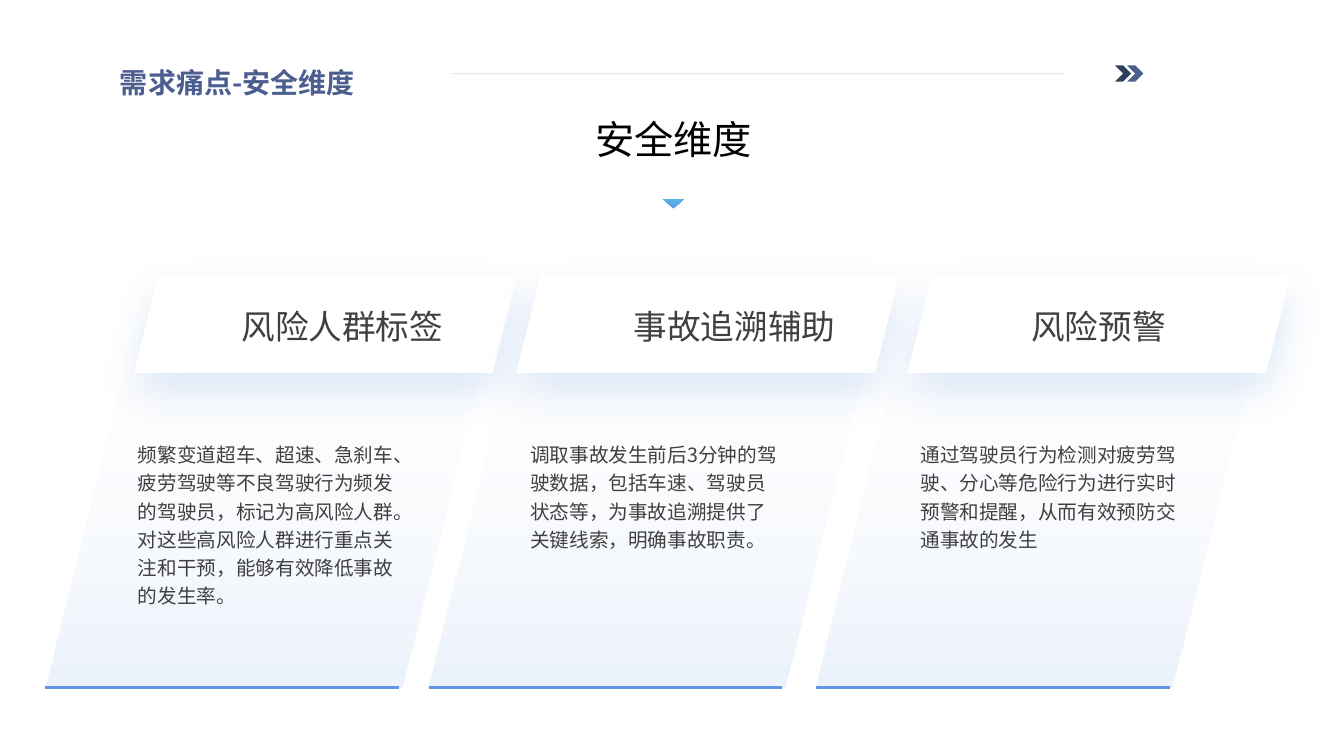
from lxml import etree
from pptx import Presentation
from pptx.dml.color import RGBColor
from pptx.enum.shapes import MSO_CONNECTOR, MSO_SHAPE
from pptx.enum.text import MSO_ANCHOR, MSO_AUTO_SIZE, PP_ALIGN
from pptx.oxml import parse_xml
from pptx.oxml.ns import nsdecls, qn
from pptx.util import Inches, Pt

CHEVRON, TRIANGLE = MSO_SHAPE.CHEVRON, MSO_SHAPE.ISOSCELES_TRIANGLE
SLANTED, STRAIGHT = MSO_SHAPE.PARALLELOGRAM, MSO_CONNECTOR.STRAIGHT
LEFT, CENTER, TOP = PP_ALIGN.LEFT, PP_ALIGN.CENTER, MSO_ANCHOR.TOP

NAVY = RGBColor(0x31, 0x3D, 0x5D)
INDIGO = RGBColor(0x4B, 0x5E, 0x8F)
BLUE = RGBColor(0x60, 0x96, 0xE6)
SKY = RGBColor(0x58, 0xB6, 0xE5)
ICE = RGBColor(0xDF, 0xEA, 0xFA)
SHADOW = RGBColor(0x21, 0x69, 0xD3)
PALE = RGBColor(0xDF, 0xE4, 0xEA)
WHITE = RGBColor(0xFF, 0xFF, 0xFF)
BLACK = RGBColor(0, 0, 0)
GREY = RGBColor(0x40, 0x40, 0x40)
CJK_FONT = "Noto Sans CJK SC"

# Shared rows of the three columns, in inches
CARD_TOP, CARD_W, CARD_H = 2.8, 4.53, 4.02
HEADER_TOP, HEADER_W, HEADER_H = 2.73, 3.8, 0.97
HEADING_TOP, HEADING_H = 2.99, 0.5
DETAIL_TOP = 4.3
RULE_W = 3.51

# card left, header left, heading (left, width), detail (left, width, height)
COLUMNS = [
    (0.45, 1.33, (2.27, 2.25), (1.27, 2.9, 1.8), "风险人群标签",
     "频繁变道超车、超速、急刹车、疲劳驾驶等不良驾驶行为频发的驾驶员，标记为高风险人群。"
     "对这些高风险人群进行重点关注和干预，能够有效降低事故的发生率。"),
    (4.25, 5.12, (6.05, 2.47), (5.16, 2.7, 1.23), "事故追溯辅助",
     "调取事故发生前后3分钟的驾驶数据，包括车速、驾驶员状态等，"
     "为事故追溯提供了关键线索，明确事故职责。"),
    (8.09, 9.0, (9.93, 1.93), (9.03, 2.88, 1.23), "风险预警",
     "通过驾驶员行为检测对疲劳驾驶、分心等危险行为进行实时预警和提醒，"
     "从而有效预防交通事故的发生"),
]

prs = Presentation()
prs.slide_width, prs.slide_height = Inches(13.33), Inches(7.5)
slide = prs.slides.add_slide(prs.slide_layouts[5])
shapes = slide.shapes


def add_block(kind, left, top, width, height, colors, alphas=(100, 100)):
    """Borderless shape: one colour is solid, two are a downward gradient."""
    block = shapes.add_shape(kind, Inches(left), Inches(top), Inches(width), Inches(height))
    block.shadow.inherit = False
    block.line.fill.background()
    if len(colors) == 1:
        block.fill.solid()
        block.fill.fore_color.rgb = colors[0]
        return block
    block.fill.gradient()
    block.fill.gradient_angle = 270
    for stop, place, color, alpha in zip(block.fill.gradient_stops, (0, 1), colors, alphas):
        stop.position = place
        stop.color.rgb = color
    for node, alpha in zip(block._element.spPr.iter(qn("a:srgbClr")), alphas):
        etree.SubElement(node, qn("a:alpha")).set("val", str(alpha * 1000))
    return block


def write(holder, text, size, color, align, bold=False, font=CJK_FONT, wrap=True, spacing=1.0):
    frame = holder.text_frame
    frame.text = text
    frame.word_wrap = wrap
    frame.auto_size = MSO_AUTO_SIZE.NONE
    frame.vertical_anchor = TOP
    paragraph = frame.paragraphs[0]
    paragraph.alignment, paragraph.line_spacing = align, spacing
    run = paragraph.runs[0]
    run.font.size, run.font.bold, run.font.name = Pt(size), bold, font
    run.font.color.rgb = color
    east_asian = etree.SubElement(run._r.get_or_add_rPr(), qn("a:ea"))
    east_asian.set("typeface", CJK_FONT)


# Page title with line and double chevron
title = shapes.title
title.left, title.top, title.width, title.height = map(Inches, (1.09, 0.6, 6.67, 0.44))
write(title, "需求痛点-安全维度", 20, INDIGO, LEFT, bold=True)
for left, color in ((11.06, NAVY), (11.18, INDIGO)):
    add_block(CHEVRON, left, 0.65, 0.16, 0.16, [color])

# Centred subject with pointer
subject = shapes.add_textbox(Inches(5.8), Inches(1.09), Inches(1.76), Inches(0.57))
write(subject, "安全维度", 28, BLACK, CENTER, font="Arial", wrap=False)
pointer = add_block(TRIANGLE, 6.57, 1.97, 0.22, 0.1, [BLUE, SKY])
pointer._element.spPr.find(qn("a:xfrm")).set("flipV", "1")

# Three columns: fading card, raised header, heading and detail
for card_left, header_left, heading_place, detail_place, heading_text, detail_text in COLUMNS:
    card = add_block(SLANTED, card_left, CARD_TOP, CARD_W, CARD_H, [WHITE, ICE], (0, 58))
    card.adjustments[0] = 0.248

    header = add_block(SLANTED, header_left, HEADER_TOP, HEADER_W, HEADER_H, [WHITE])
    header._element.spPr.find(qn("a:effectLst")).append(parse_xml(
        f'<a:outerShdw {nsdecls("a")} blurRad="{Pt(30)}" dist="{Pt(13)}" dir="5400000" '
        f'algn="t" rotWithShape="0"><a:srgbClr val="{SHADOW}"><a:alpha val="15000"/>'
        '</a:srgbClr></a:outerShdw>'))

    left, width = heading_place
    heading = shapes.add_textbox(
        Inches(left), Inches(HEADING_TOP), Inches(width), Inches(HEADING_H))
    write(heading, heading_text, 24, GREY, CENTER)

    left, width, height = detail_place
    detail = shapes.add_textbox(
        Inches(left), Inches(DETAIL_TOP), Inches(width), Inches(height))
    write(detail, detail_text, 14, GREY, LEFT, spacing=1.2)

# Title line and the base rule of each card
base = CARD_TOP + CARD_H
rules = [(4.47, 10.55, 0.73, PALE, 1, 70)]
rules += [(column[0], column[0] + RULE_W, base, BLUE, 2, 100) for column in COLUMNS]
for start, end, y, color, weight, alpha in rules:
    rule = shapes.add_connector(STRAIGHT, Inches(start), Inches(y), Inches(end), Inches(y))
    rule.line.color.rgb, rule.line.width = color, Pt(weight)
    spPr = rule._element.spPr
    etree.SubElement(spPr.find(".//" + qn("a:srgbClr")), qn("a:alpha")).set("val", str(alpha * 1000))
    etree.SubElement(spPr, qn("a:effectLst"))

prs.save("out.pptx")
